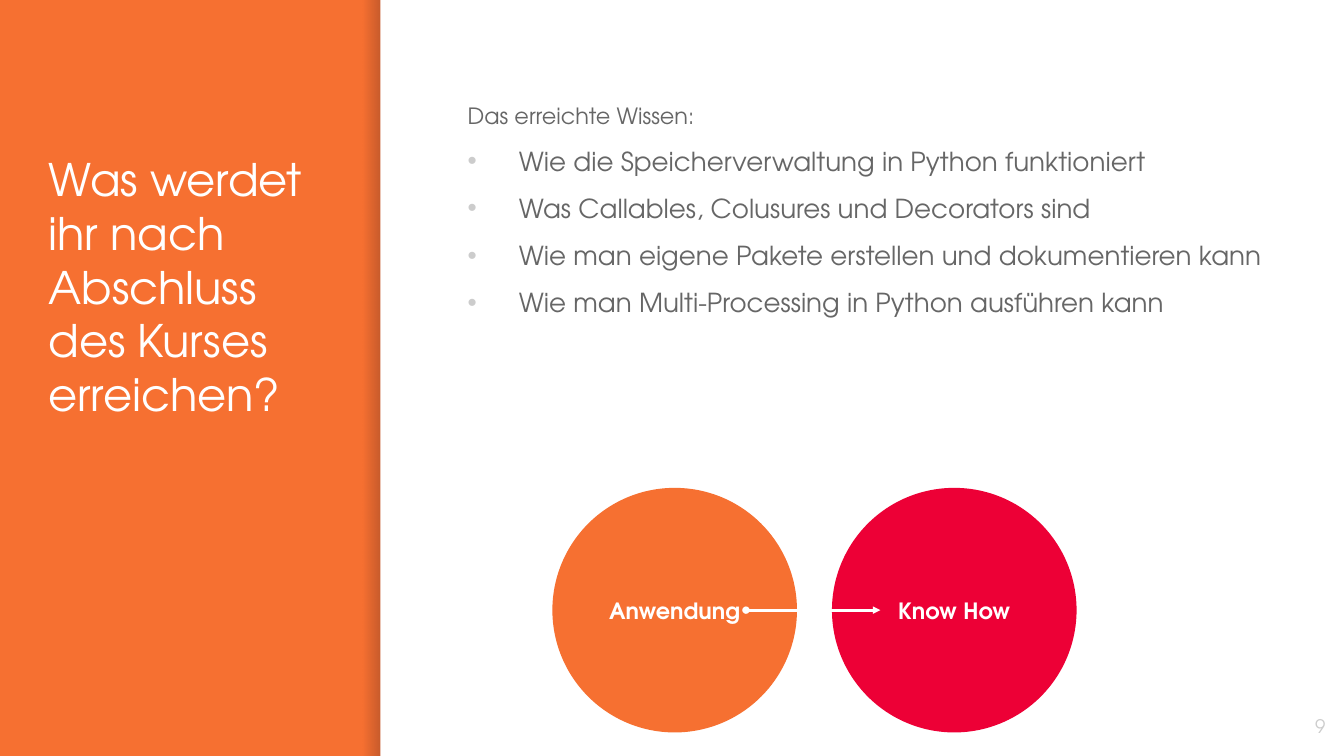
from lxml import etree
from pptx import Presentation
from pptx import util as u
from pptx.dml.color import RGBColor
from pptx.enum import shapes, text
from pptx.oxml.ns import qn

FONT = "TeX Gyre Adventor"
COLORS = {
    "orange": "F67031",
    "red": "ED0036",
    "white": "FFFFFF",
    "text": "666666",
    "light": "CCCCCC",
    "shade": "000014",
}
WIDTH = 10
HEIGHT = WIDTH * 9 / 16
PANEL_LEFT = 2.83
CIRCLE_SIZE = 1.82
CIRCLE_TOP = 3.63

TITLE = "Was werdet ihr nach Abschluss des Kurses erreichen?"
INTRO = "Das erreichte Wissen:"
GOALS = [
    "Wie die Speicherverwaltung in Python funktioniert",
    "Was Callables, Colusures und Decorators sind",
    "Wie man eigene Pakete erstellen und dokumentieren kann",
    "Wie man Multi-Processing in Python ausführen kann",
]


def rgb(name):
    return RGBColor.from_string(COLORS[name])


def inches(*values):
    return [u.Inches(v) for v in values]


def place(sp, left, top, width, height):
    sp.left, sp.top, sp.width, sp.height = inches(left, top, width, height)


def setup_frame(tf, anchor):
    tf.word_wrap = True
    tf.auto_size = text.MSO_AUTO_SIZE.NONE
    tf.vertical_anchor = anchor
    tf.margin_left = tf.margin_right = u.Inches(0.1)
    tf.margin_top = tf.margin_bottom = u.Inches(0.1)


def format_runs(p, size, color, align, bold=False):
    p.alignment = align
    for r in p.runs:
        r.font.name = FONT
        r.font.size = u.Pt(size)
        r.font.bold = bold
        r.font.color.rgb = rgb(color)


def set_bullet(p, char=None, indent=0.0):
    pPr = p._p.get_or_add_pPr()
    pPr.set("marL", str(u.Inches(indent)))
    pPr.set("indent", str(-u.Inches(indent)))
    if char is None:
        etree.SubElement(pPr, qn("a:buNone"))
        return
    color = etree.SubElement(pPr, qn("a:buClr"))
    etree.SubElement(color, qn("a:srgbClr"), val=COLORS["light"])
    etree.SubElement(pPr, qn("a:buChar"), char=char)


def add_filled(s, kind, box, color):
    sp = s.shapes.add_shape(kind, *inches(*box))
    sp.shadow.inherit = False
    sp.fill.solid()
    sp.fill.fore_color.rgb = rgb(color)
    sp.line.fill.background()
    return sp


def fade_fill(sp, color, opacities):
    sp.fill.gradient()
    sp.fill.gradient_angle = 0
    for stop in sp.fill.gradient_stops:
        stop.color.rgb = rgb(color)
    for clr, opacity in zip(sp._element.spPr.iter(qn("a:srgbClr")), opacities):
        etree.SubElement(clr, qn("a:alpha"), val=str(opacity * 1000))


def add_backdrop(s):
    s.background.fill.solid()
    s.background.fill.fore_color.rgb = rgb("orange")
    rect = shapes.MSO_SHAPE.RECTANGLE
    shade = add_filled(s, rect, (2.7, 0, 0.13, HEIGHT), "shade")
    fade_fill(shade, "shade", (0, 20))
    add_filled(s, rect, (PANEL_LEFT, 0, WIDTH - PANEL_LEFT, HEIGHT), "white")


def fill_title(sp):
    place(sp, 0.26, 0.63, 2.24, 4.35)
    tf = sp.text_frame
    tf.text = TITLE
    setup_frame(tf, text.MSO_ANCHOR.TOP)
    tf.margin_top = u.Inches(0.5)  # starts one line lower
    format_runs(tf.paragraphs[0], 24, "white", text.PP_ALIGN.LEFT)


def fill_body(sp):
    place(sp, 3.38, 0.63, 6.12, 3.02)
    tf = sp.text_frame
    tf.text = "\n".join([INTRO] + GOALS)
    setup_frame(tf, text.MSO_ANCHOR.TOP)
    for i, p in enumerate(tf.paragraphs):
        p.line_spacing = 1.15
        p.space_before = u.Pt(6)
        p.space_after = u.Pt(0)
        format_runs(p, 14 if i else 12, "text", text.PP_ALIGN.LEFT)
        if i:
            set_bullet(p, "•", 0.38)
        else:
            set_bullet(p)


def add_page_number(s, number):
    sp = s.shapes.add_textbox(*inches(9.36, 5.19, 0.6, 0.43))
    tf = sp.text_frame
    tf.text = number
    setup_frame(tf, text.MSO_ANCHOR.MIDDLE)
    format_runs(tf.paragraphs[0], 10, "light", text.PP_ALIGN.RIGHT)


def add_circle(s, left, label, color):
    box = (left, CIRCLE_TOP, CIRCLE_SIZE, CIRCLE_SIZE)
    tf = add_filled(s, shapes.MSO_SHAPE.OVAL, box, color).text_frame
    tf.text = label
    setup_frame(tf, text.MSO_ANCHOR.MIDDLE)
    format_runs(tf.paragraphs[0], 12, "white", text.PP_ALIGN.CENTER, bold=True)


def add_arrow(s, x1, x2, y):
    line = s.shapes.add_connector(shapes.MSO_CONNECTOR.STRAIGHT, *inches(x1, y, x2, y))
    line.line.color.rgb = rgb("white")
    line.line.width = u.Pt(1.5)
    ln = line.line._get_or_add_ln()
    for end, kind in (("a:headEnd", "oval"), ("a:tailEnd", "triangle")):
        etree.SubElement(ln, qn(end), type=kind, w="sm", len="sm")
    etree.SubElement(line._element.spPr, qn("a:effectLst"))


def main():
    prs = Presentation()
    prs.slide_width, prs.slide_height = inches(WIDTH, HEIGHT)
    s = prs.slides.add_slide(prs.slide_layouts[1])
    title, body = s.placeholders

    # Backdrop, with the placeholders raised above it
    add_backdrop(s)
    for sp in (title, body):
        s.shapes._spTree.append(sp._element)

    # Text
    fill_title(title)
    fill_body(body)
    add_page_number(s, "9")

    # From application to know-how
    add_circle(s, 4.11, "Anwendung", "orange")
    add_circle(s, 6.19, "Know How", "red")
    add_arrow(s, 5.55, 6.55, CIRCLE_TOP + CIRCLE_SIZE / 2)

    prs.save("out.pptx")


if __name__ == "__main__":
    main()
